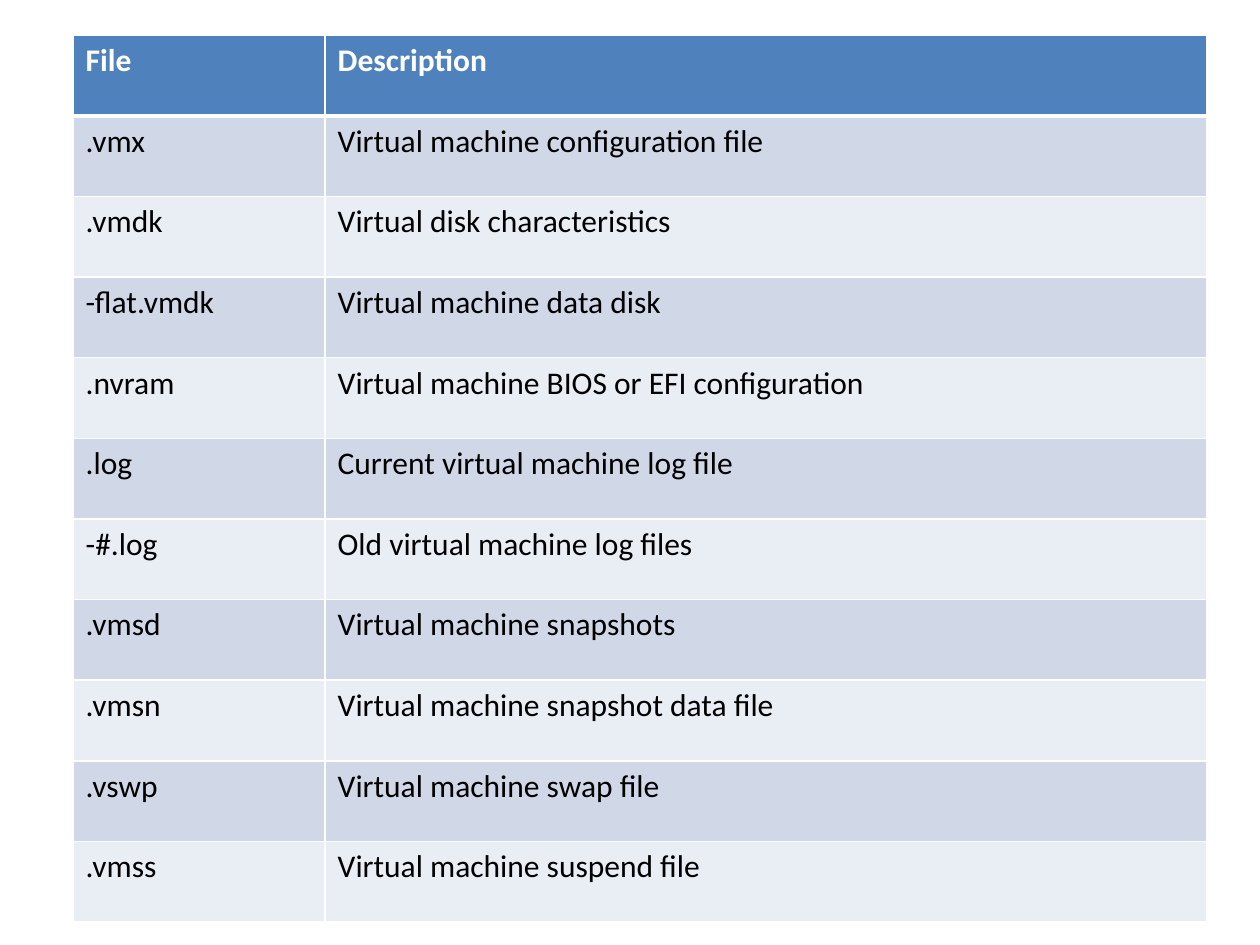
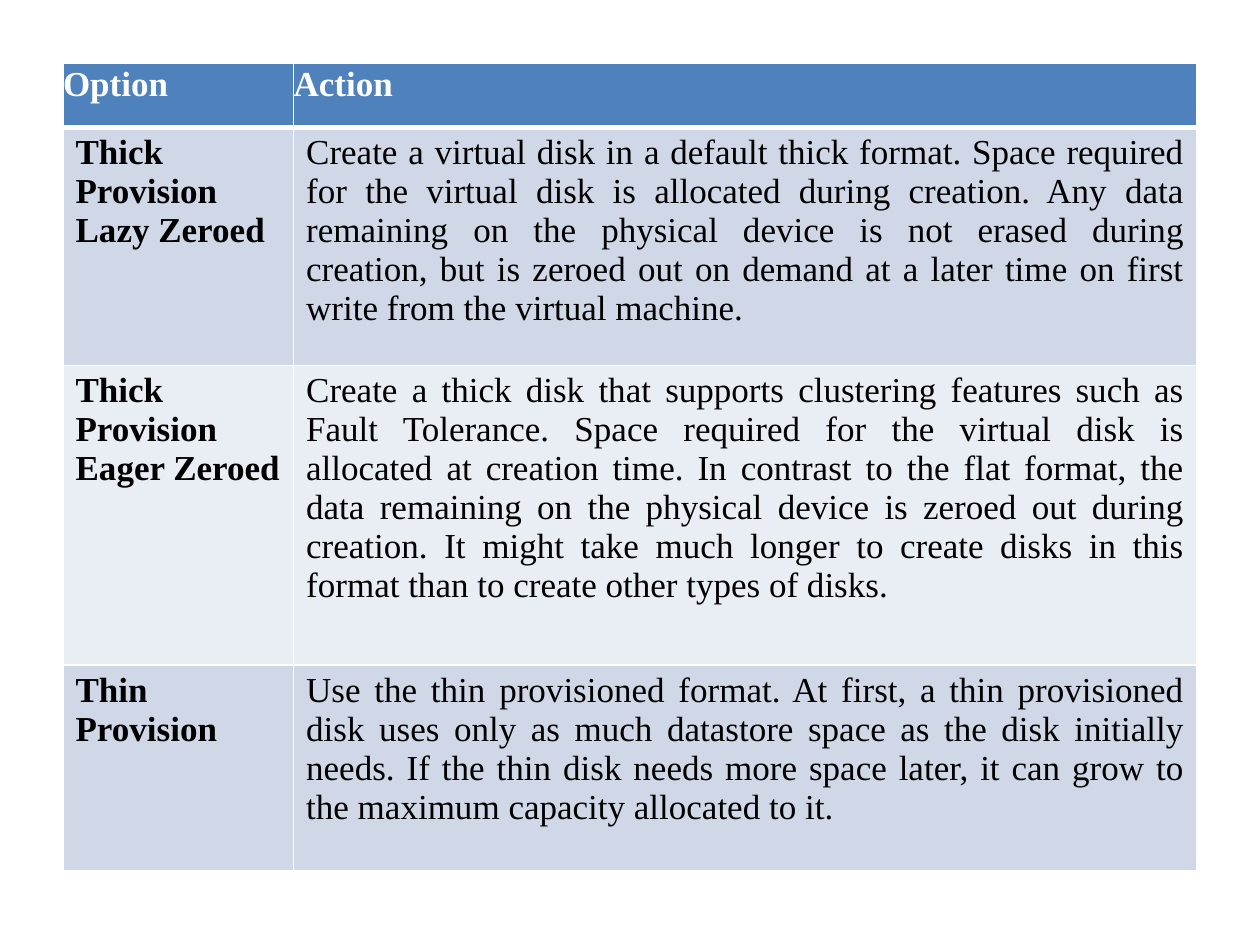
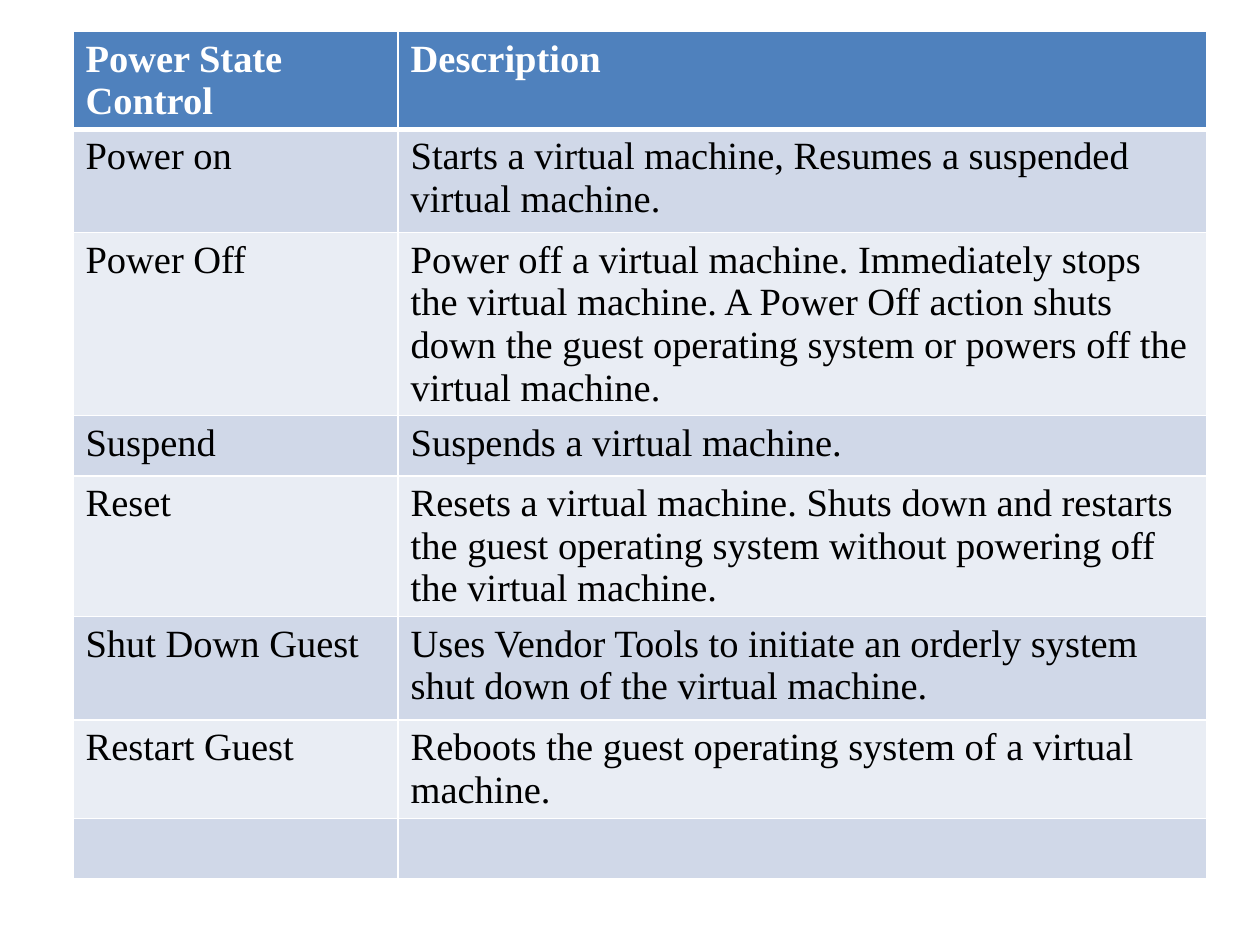
"""Build three slides of virtual machine reference tables."""
from lxml import etree
from pptx import Presentation
from pptx.dml.color import RGBColor
from pptx.enum.text import PP_ALIGN
from pptx.oxml.ns import qn
from pptx.util import Inches, Pt

LEFT, JUSTIFY = PP_ALIGN.LEFT, PP_ALIGN.JUSTIFY
BLANK_LAYOUT = 6

COLORS = {
    "header": "4F81BD",
    "odd_band": "D0D8E8",
    "even_band": "E9EDF4",
    "border": "FFFFFF",
    "header_text": "FFFFFF",
    "body_text": "000000",
}
THIN, THICK = 1, 3
DEFAULT_MARGINS = (0.1, 0.05, 0.1, 0.05)

TABLES = [
    {
        "position": (0.58, 0.28),
        "columns": (2, 7),
        "heights": [0.64] * 11,
        "font": "Calibri",
        "size": 18,
        "rows": [
            ("File", "Description"),
            (".vmx", "Virtual machine configuration file"),
            (".vmdk", "Virtual disk characteristics"),
            ("-flat.vmdk", "Virtual machine data disk"),
            (".nvram", "Virtual machine BIOS or EFI configuration"),
            (".log", "Current virtual machine log file"),
            ("-#.log", "Old virtual machine log files"),
            (".vmsd", "Virtual machine snapshots"),
            (".vmsn", "Virtual machine snapshot data file"),
            (".vswp", "Virtual machine swap file"),
            (".vmss", "Virtual machine suspend file"),
        ],
    },
    {
        "position": (0.5, 0.5),
        "columns": (1.83, 7.17),
        "heights": [0.51, 1.89, 2.38, 1.63],
        "font": "Times New Roman",
        "size": 20,
        "header_margins": (0, 0.02, 0, 0),
        "bold_labels": True,
        "body_alignment": JUSTIFY,
        "rows": [
            ("Option", "Action"),
            ("Thick Provision Lazy Zeroed",
             "Create a virtual disk in a default thick format. Space required for "
             "the virtual disk is allocated during creation. Any data remaining on "
             "the physical device is not erased during creation, but is zeroed out "
             "on demand at a later time on first write from the virtual machine."),
            ("Thick Provision Eager Zeroed",
             "Create a thick disk that supports clustering features such as Fault "
             "Tolerance. Space required for the virtual disk is allocated at "
             "creation time. In contrast to the flat format, the data remaining on "
             "the physical device is zeroed out during creation. It might take much "
             "longer to create disks in this format than to create other types of "
             "disks."),
            ("Thin Provision",
             "Use the thin provisioned format. At first, a thin provisioned disk "
             "uses only as much datastore space as the disk initially needs. If the "
             "thin disk needs more space later, it can grow to the maximum capacity "
             "allocated to it."),
        ],
    },
    {
        "position": (0.58, 0.25),
        "columns": (2.58, 6.42),
        "heights": [0.77, 0.82, 1.45, 0.48, 1.11, 0.82, 0.78, 0.48],
        "font": "Times New Roman",
        "size": 22,
        "rows": [
            ("Power State Control", "Description"),
            ("Power on",
             "Starts a virtual machine, Resumes a suspended virtual machine."),
            ("Power Off",
             "Power off a virtual machine. Immediately stops the virtual machine. A "
             "Power Off action shuts down the guest operating system or powers off "
             "the virtual machine."),
            ("Suspend", "Suspends a virtual machine."),
            ("Reset",
             "Resets a virtual machine. Shuts down and restarts the guest operating "
             "system without powering off the virtual machine."),
            ("Shut Down Guest",
             "Uses Vendor Tools to initiate an orderly system shut down of the "
             "virtual machine."),
            ("Restart Guest",
             "Reboots the guest operating system of a virtual machine."),
            ("", ""),
        ],
    },
]


def set_borders(cell, top, bottom):
    properties = cell._tc.get_or_add_tcPr()
    for side, width in (("L", THIN), ("R", THIN), ("T", top), ("B", bottom)):
        line = etree.SubElement(properties, qn(f"a:ln{side}"), w=str(Pt(width)))
        fill = etree.SubElement(line, qn("a:solidFill"))
        etree.SubElement(fill, qn("a:srgbClr"), val=COLORS["border"])


def set_fill(cell, color):
    cell.fill.solid()
    cell.fill.fore_color.rgb = RGBColor.from_string(COLORS[color])


def set_margins(cell, margins):
    left, top, right, bottom = map(Inches, margins)
    cell.margin_left, cell.margin_top = left, top
    cell.margin_right, cell.margin_bottom = right, bottom


def write_text(cell, text, content, color, bold, alignment):
    paragraph = cell.text_frame.paragraphs[0]
    paragraph.alignment = alignment
    run = paragraph.add_run()
    run.text = text
    run.font.name = content["font"]
    run.font.size = Pt(content["size"])
    run.font.bold = bold
    run.font.color.rgb = RGBColor.from_string(COLORS[color])


def format_cell(cell, text, row, column, content):
    is_header = row == 0
    set_borders(cell, THICK if row == 1 else THIN, THICK if is_header else THIN)
    if is_header:
        set_fill(cell, "header")
        set_margins(cell, content.get("header_margins", DEFAULT_MARGINS))
    else:
        set_fill(cell, "odd_band" if row % 2 else "even_band")
        set_margins(cell, DEFAULT_MARGINS)
    if text:
        is_label = column == 0
        bold = is_header or (is_label and content.get("bold_labels", False))
        alignment = LEFT if is_header or is_label else content.get("body_alignment", LEFT)
        color = "header_text" if is_header else "body_text"
        write_text(cell, text, content, color, bold, alignment)


def add_reference_table(slide, content):
    left, top = content["position"]
    columns, heights, rows = content["columns"], content["heights"], content["rows"]
    table = slide.shapes.add_table(
        len(rows), len(columns), Inches(left), Inches(top),
        Inches(sum(columns)), Inches(sum(heights))).table
    for column, width in zip(table.columns, columns):
        column.width = Inches(width)
    for row, height in zip(table.rows, heights):
        row.height = Inches(height)
    for row, texts in enumerate(rows):
        for column, text in enumerate(texts):
            format_cell(table.cell(row, column), text, row, column, content)


presentation = Presentation()
presentation.slide_width = Inches(10)
presentation.slide_height = Inches(7.5)
for content in TABLES:
    slide = presentation.slides.add_slide(presentation.slide_layouts[BLANK_LAYOUT])
    add_reference_table(slide, content)
presentation.save("out.pptx")
